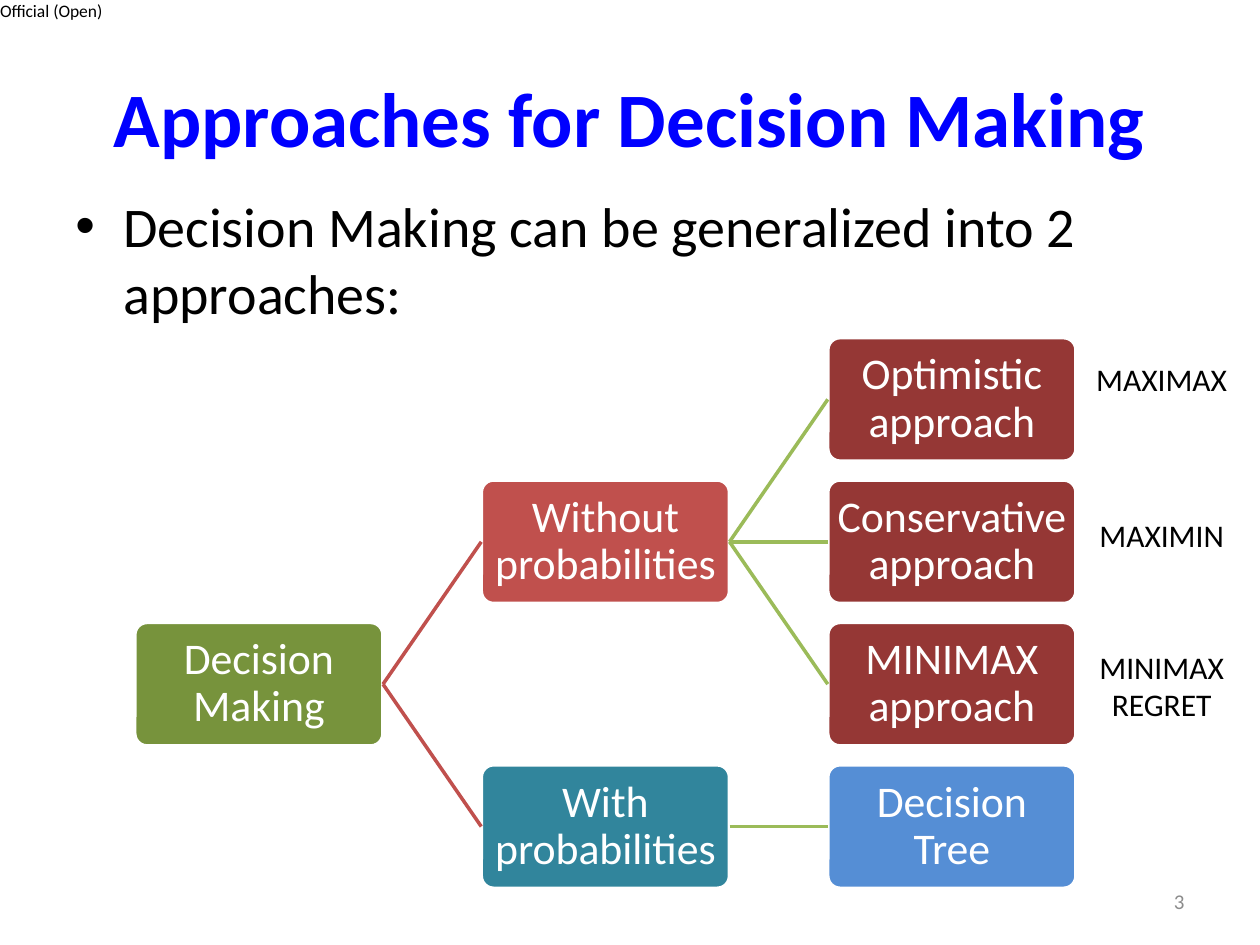
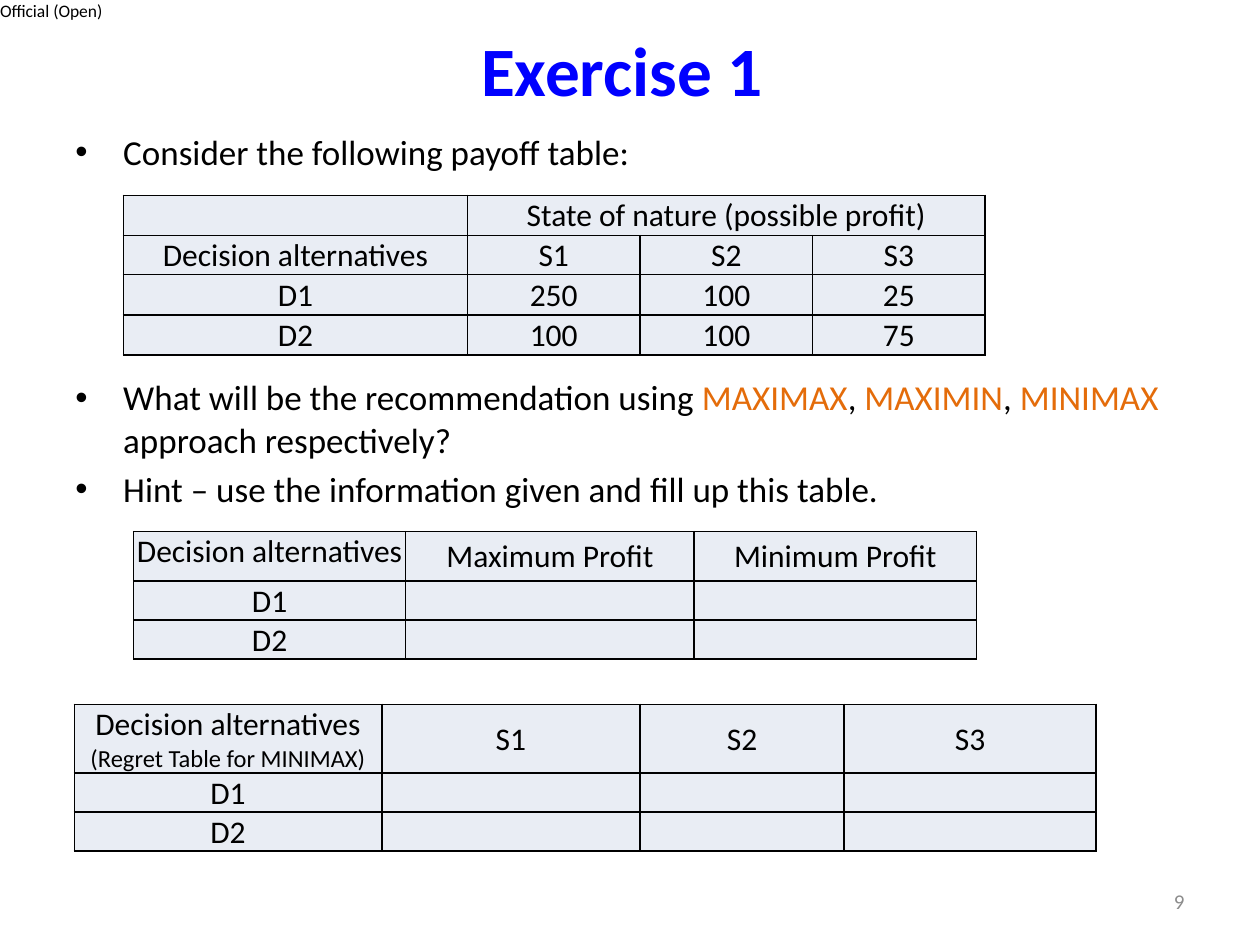
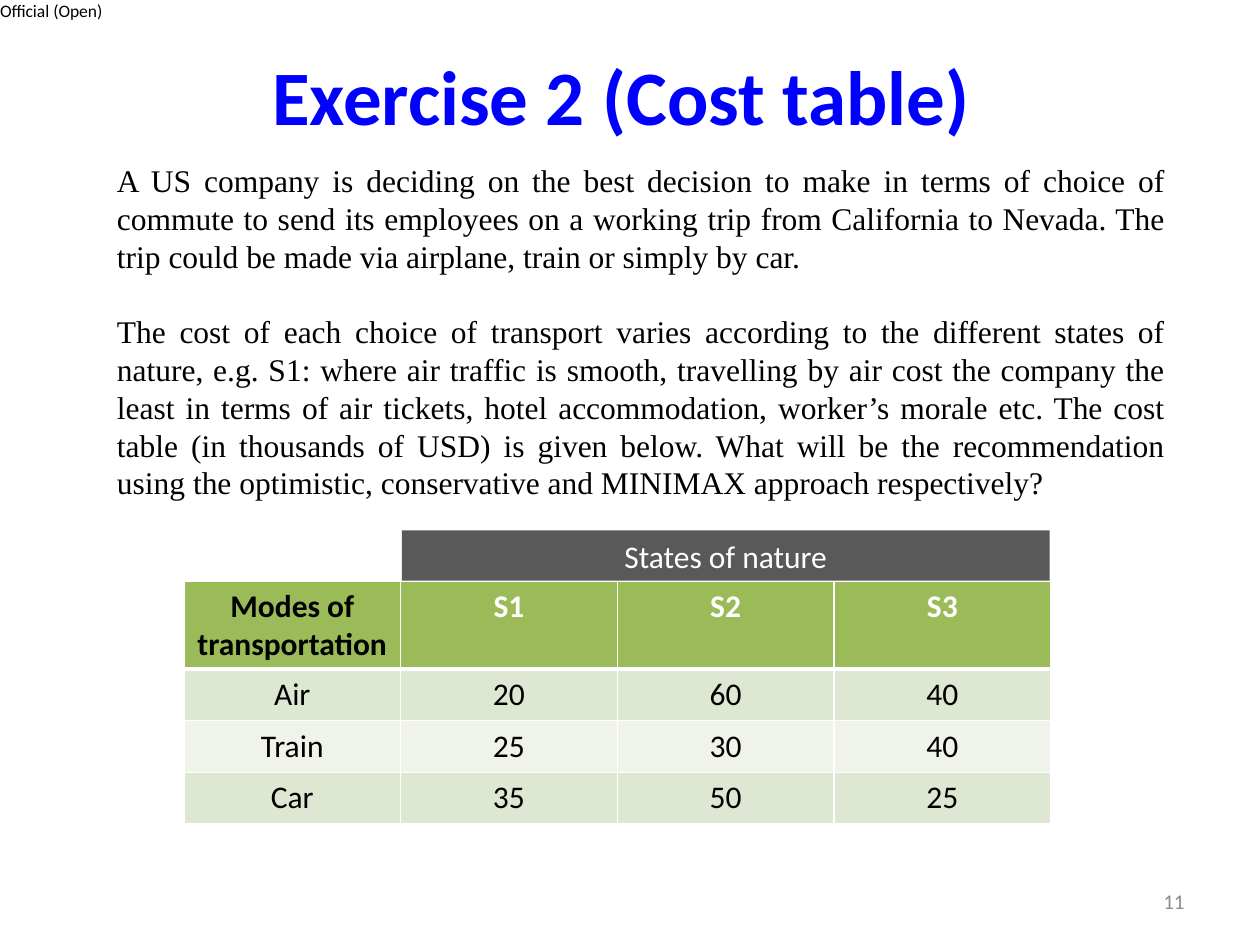
import pptx
import pptx.dml.color
import pptx.enum.shapes
import pptx.enum.text
import pptx.oxml
import pptx.oxml.ns
import pptx.util

Inches = pptx.util.Inches
Pt = pptx.util.Pt
RGBColor = pptx.dml.color.RGBColor
Align = pptx.enum.text.PP_ALIGN
Anchor = pptx.enum.text.MSO_ANCHOR
Shape = pptx.enum.shapes.MSO_SHAPE

BLACK = RGBColor(0, 0, 0)
WHITE = RGBColor(255, 255, 255)
TITLE_BLUE = RGBColor(0x00, 0x00, 0xFF)
PAGE_GREY = RGBColor(0x8C, 0x8C, 0x8C)
ORANGE = RGBColor(0xE4, 0x6C, 0x0A)
RED = RGBColor(0xC0, 0x50, 0x4D)
DARK_RED = RGBColor(0x95, 0x37, 0x35)
OLIVE = RGBColor(0x77, 0x93, 0x3C)
TEAL = RGBColor(0x31, 0x85, 0x9C)
SKY = RGBColor(0x55, 0x8E, 0xD5)
GREEN = RGBColor(0x9B, 0xBB, 0x59)
PALE_BLUE = RGBColor(0xE9, 0xED, 0xF4)
BAND_DARK = RGBColor(0xDE, 0xE7, 0xD1)
BAND_LIGHT = RGBColor(0xEF, 0xF3, 0xEA)
DARK_GREY = RGBColor(0x59, 0x59, 0x59)

NODE_WIDTH, NODE_HEIGHT = 1.97, 0.98
COLUMN_STEP, ROW_STEP = 2.75, 1.13
TREE_LEFT, TREE_TOP = 1.07, 2.68

TREE = [
    ("Decision Making", 0, 2, OLIVE, None),
    ("Without probabilities", 1, 1, RED, "Decision Making"),
    ("With probabilities", 1, 3, TEAL, "Decision Making"),
    ("Optimistic approach", 2, 0, DARK_RED, "Without probabilities"),
    ("Conservative approach", 2, 1, DARK_RED, "Without probabilities"),
    ("MINIMAX approach", 2, 2, DARK_RED, "Without probabilities"),
    ("Decision Tree", 2, 3, SKY, "With probabilities"),
]
BRANCH_COLOURS = {1: RED, 2: GREEN}

COMMUTE_STORY = [
    "A US company is deciding on the best decision to make in terms of choice of "
    "commute to send its employees on a working trip from California to Nevada. "
    "The trip could be made via airplane, train or simply by car. ",
    "The cost of each choice of transport varies according to the different states "
    "of nature, e.g. S1: where air traffic is smooth, travelling by air cost the "
    "company the least in terms of air tickets, hotel accommodation, worker’s morale "
    "etc. The cost table (in thousands of USD) is given below. What will be the "
    "recommendation using the optimistic, conservative and MINIMAX approach "
    "respectively? ",
]


def write(paragraph, text, size, colour=BLACK, bold=False, font="Calibri"):
    """Append one formatted run to a paragraph."""
    run = paragraph.add_run()
    run.text = text
    run.font.name = font
    run.font.size = Pt(size)
    run.font.bold = bold
    run.font.color.rgb = colour


def next_paragraph(frame):
    """Return the unused first paragraph of a frame, or a new one."""
    first = frame.paragraphs[0]
    return frame.add_paragraph() if first.runs else first


def add_text(slide, left, top, width, height, lines, size, colour=BLACK, bold=False,
             font="Calibri", align=Align.LEFT, anchor=Anchor.TOP, wrap=True, gap=0):
    """Add a text box with one paragraph per line and return its frame."""
    frame = slide.shapes.add_textbox(
        Inches(left), Inches(top), Inches(width), Inches(height)).text_frame
    frame.word_wrap = wrap
    frame.vertical_anchor = anchor
    for index, line in enumerate(lines):
        paragraph = next_paragraph(frame)
        paragraph.alignment = align
        paragraph.space_before = Pt(gap if index else 0)
        write(paragraph, line, size, colour, bold, font)
    return frame


def set_margins(holder, horizontal, top, bottom):
    """Set the inner margins of a text frame or a table cell."""
    holder.margin_left = holder.margin_right = Inches(horizontal)
    holder.margin_top, holder.margin_bottom = Inches(top), Inches(bottom)


def add_slide(deck, title, title_top, title_height, page, title_size=44):
    """Add a slide with classification mark, title and page number."""
    slide = deck.slides.add_slide(deck.slide_layouts[6])
    mark = add_text(slide, 0, 0, 0.85, 0.17, ["Official (Open)"], 10, wrap=False)
    set_margins(mark, 0, 0, 0)
    add_text(slide, 0.5, title_top, 9, title_height, [title], title_size, TITLE_BLUE,
             bold=True, align=Align.CENTER, anchor=Anchor.MIDDLE)
    add_text(slide, 7.17, 6.95, 2.33, 0.4, [page], 12, PAGE_GREY,
             align=Align.RIGHT, anchor=Anchor.MIDDLE)
    return slide


def add_bullet(frame, runs, size, space_before):
    """Add a bulleted paragraph made of (text, colour) runs."""
    paragraph = next_paragraph(frame)
    paragraph.space_before = Pt(space_before)
    properties = paragraph._p.get_or_add_pPr()
    properties.set("marL", str(Inches(0.38)))
    properties.set("indent", str(-Inches(0.38)))
    namespace = pptx.oxml.ns.nsdecls("a")
    properties.append(pptx.oxml.parse_xml(f'<a:buFont {namespace} typeface="Arial"/>'))
    properties.append(pptx.oxml.parse_xml(f'<a:buChar {namespace} char="•"/>'))
    for text, colour in runs:
        write(paragraph, text, size, colour)


def add_box(slide, kind, left, top, width, height, fill, text, size):
    """Add a filled shape with centred white text."""
    box = slide.shapes.add_shape(
        kind, Inches(left), Inches(top), Inches(width), Inches(height))
    box.shadow.inherit = False
    box.fill.solid()
    box.fill.fore_color.rgb = fill
    box.line.fill.background()
    box.text_frame.word_wrap = True
    box.text_frame.vertical_anchor = Anchor.MIDDLE
    paragraph = box.text_frame.paragraphs[0]
    paragraph.alignment = Align.CENTER
    write(paragraph, text, size, WHITE)
    return box


def add_node(slide, label, column, row, fill):
    """Add one box of the decision tree at its grid place."""
    node = add_box(slide, Shape.ROUNDED_RECTANGLE, TREE_LEFT + column * COLUMN_STEP,
                   TREE_TOP + row * ROW_STEP, NODE_WIDTH, NODE_HEIGHT, fill, label, 25)
    node.adjustments[0] = 0.1
    node.line.color.rgb = WHITE
    node.line.width = Pt(2)
    set_margins(node.text_frame, 0.02, 0.02, 0.02)
    node.text_frame.paragraphs[0].line_spacing = 0.9
    return node


def add_branch(slide, parent, child, colour):
    """Join the right side of a parent node to the left side of its child."""
    branch = slide.shapes.add_connector(
        pptx.enum.shapes.MSO_CONNECTOR.STRAIGHT, 0, 0, 0, 0)
    branch.begin_connect(parent, 3)
    branch.end_connect(child, 1)
    branch.line.color.rgb = colour
    branch.line.width = Pt(2)
    branch._element.spPr.append(
        pptx.oxml.parse_xml(f'<a:effectLst {pptx.oxml.ns.nsdecls("a")}/>'))


def set_borders(cell, colour, top=1, bottom=1):
    """Draw the four borders of a cell, with widths in points."""
    properties = cell._tc.get_or_add_tcPr()
    widths = {"lnL": 1, "lnR": 1, "lnT": top, "lnB": bottom}
    for index, (side, width) in enumerate(widths.items()):
        properties.insert(index, pptx.oxml.parse_xml(
            f'<a:{side} {pptx.oxml.ns.nsdecls("a")} w="{Pt(width)}"><a:solidFill>'
            f'<a:srgbClr val="{colour}"/></a:solidFill></a:{side}>'))


def add_grid(slide, left, top, widths, heights, rows):
    """Add a plain table without text and return it with its (row, cell, text) list."""
    table = slide.shapes.add_table(
        len(rows), len(widths), Inches(left), Inches(top),
        Inches(sum(widths)), Inches(sum(heights))).table
    table.first_row = table.horz_banding = False
    for column, width in zip(table.columns, widths):
        column.width = Inches(width)
    for row, height in zip(table.rows, heights):
        row.height = Inches(height)
    cells = [(r, table.cell(r, c), text)
             for r, row in enumerate(rows) for c, text in enumerate(row)]
    return table, cells


def fill_cell(cell, text, fill, colour=BLACK, bold=False):
    """Fill a cell and centre its text."""
    cell.fill.solid()
    cell.fill.fore_color.rgb = fill
    paragraph = cell.text_frame.paragraphs[0]
    paragraph.alignment = Align.CENTER
    if text:
        write(paragraph, text, 18, colour, bold)


def add_exercise_table(slide, left, top, widths, heights, rows):
    """Add a pale blue table with black borders and tight cells."""
    table, cells = add_grid(slide, left, top, widths, heights, rows)
    for _, cell, text in cells:
        fill_cell(cell, text, PALE_BLUE)
        set_margins(cell, 0.01, 0.01, 0)
        cell.vertical_anchor = Anchor.MIDDLE
        set_borders(cell, BLACK)
    return table


def add_cost_table(slide, left, top, widths, heights, rows):
    """Add a green banded table with a heavier rule under its header."""
    _, cells = add_grid(slide, left, top, widths, heights, rows)
    for row, cell, text in cells:
        if row == 0:
            colour = BLACK if text == rows[0][0] else WHITE
            fill_cell(cell, text, GREEN, colour, bold=True)
        else:
            fill_cell(cell, text, BAND_DARK if row % 2 else BAND_LIGHT)
        set_borders(cell, WHITE, top=3 if row == 1 else 1, bottom=3 if row == 0 else 1)


def build_approaches(deck):
    """Build the decision tree slide."""
    slide = add_slide(deck, "Approaches for Decision Making", 0.3, 1.25, "3")
    intro = add_text(slide, 0.5, 1.47, 9, 1.2, [], 32)
    add_bullet(intro, [("Decision Making can be generalized into 2 approaches:", BLACK)],
               32, 6)
    nodes = {}
    for label, column, row, fill, parent in TREE:
        nodes[label] = add_node(slide, label, column, row, fill)
        if parent:
            add_branch(slide, nodes[parent], nodes[label], BRANCH_COLOURS[column])
    for top, height, criterion in [(2.81, 0.4, ["MAXIMAX"]), (4.05, 0.4, ["MAXIMIN"]),
                                   (5.09, 0.71, ["MINIMAX", "REGRET"])]:
        add_text(slide, 8.54, top, 1.36, height, criterion, 18,
                 align=Align.CENTER, wrap=False)


def build_payoff_exercise(deck):
    """Build the payoff table exercise."""
    slide = add_slide(deck, "Exercise 1 ", 0.17, 0.76, "9", title_size=39.6)
    task = add_text(slide, 0.5, 0.99, 9, 5.08, [], 20)
    add_bullet(task, [("Consider the following payoff table:", BLACK)], 20, 4)
    add_bullet(task, [("What will be the recommendation using ", BLACK),
                      ("MAXIMAX", ORANGE), (", ", BLACK), ("MAXIMIN", ORANGE),
                      (", ", BLACK), ("MINIMAX", ORANGE),
                      (" approach respectively?", BLACK)], 20, 116)
    add_bullet(task, [("Hint – use the information given and fill up this table.", BLACK)],
               20, 4)

    payoff = add_exercise_table(
        slide, 0.98, 1.55, [2.73, 1.37, 1.37, 1.37], [0.32, 0.31, 0.32, 0.32],
        [["", "State of nature (possible profit)", "", ""],
         ["Decision alternatives", "S1", "S2", "S3"],
         ["D1", "250", "100", "25"],
         ["D2", "100", "100", "75"]])
    payoff.cell(0, 1).merge(payoff.cell(0, 3))

    profit = add_exercise_table(
        slide, 1.06, 4.22, [2.16, 2.29, 2.24], [0.39, 0.31, 0.31],
        [["Decision alternatives", "Maximum Profit", "Minimum Profit"],
         ["D1", "", ""], ["D2", "", ""]])
    profit.cell(0, 0).vertical_anchor = Anchor.TOP

    regret = add_exercise_table(
        slide, 0.59, 5.59, [2.44, 2.05, 1.62, 2], [0.54, 0.31, 0.31],
        [["Decision alternatives", "S1", "S2", "S3"],
         ["D1", "", "", ""], ["D2", "", "", ""]])
    subtitle = regret.cell(0, 0).text_frame.add_paragraph()
    subtitle.alignment = Align.CENTER
    write(subtitle, "(Regret Table for MINIMAX)", 14)


def build_cost_exercise(deck):
    """Build the cost table exercise."""
    slide = add_slide(deck, "Exercise 2 (Cost table) ", 0.13, 1.25, "11")
    add_text(slide, 0.83, 1.23, 8.52, 2.83, COMMUTE_STORY, 18,
             font="Times New Roman", align=Align.JUSTIFY, gap=21.5)
    add_cost_table(slide, 1.46, 4.61, [1.72] * 4, [0.7] + [0.41] * 3,
                   [["Modes of transportation", "S1", "S2", "S3"],
                    ["Air", "20", "60", "40"],
                    ["Train", "25", "30", "40"],
                    ["Car", "35", "50", "25"]])
    add_box(slide, Shape.RECTANGLE, 3.19, 4.21, 5.14, 0.4, DARK_GREY,
            "States of nature", 18)


def main():
    """Build and save the deck."""
    deck = pptx.Presentation()
    deck.slide_width, deck.slide_height = Inches(10), Inches(7.5)
    build_approaches(deck)
    build_payoff_exercise(deck)
    build_cost_exercise(deck)
    deck.save("out.pptx")


if __name__ == "__main__":
    main()
